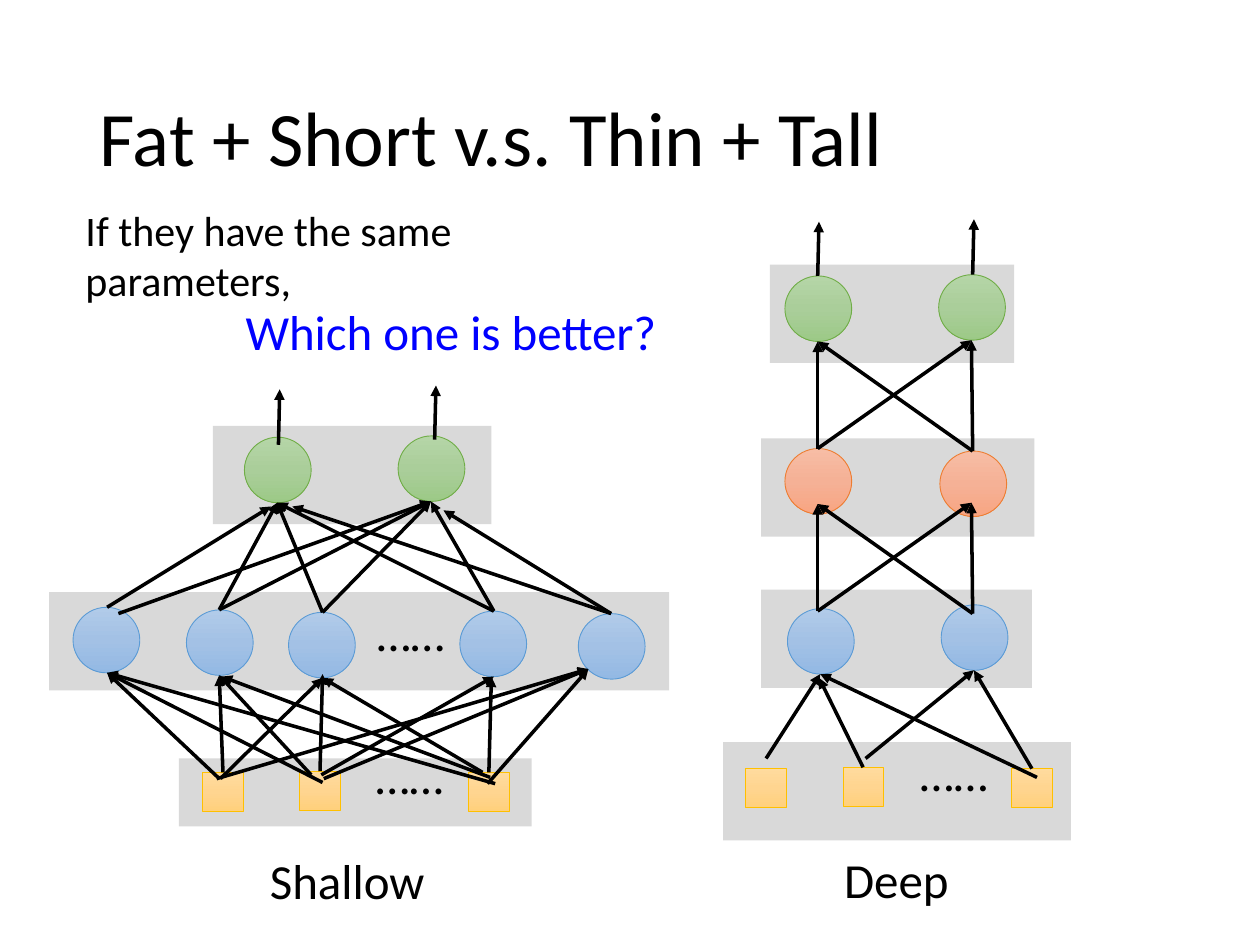
import copy
import itertools

import pptx
import pptx.dml.color
import pptx.enum.dml
import pptx.enum.shapes
import pptx.enum.text
import pptx.oxml
import pptx.oxml.ns
import pptx.util

Inches = pptx.util.Inches
SHAPE = pptx.enum.shapes.MSO_SHAPE
ALIGN = pptx.enum.text.PP_ALIGN
ANCHOR = pptx.enum.text.MSO_ANCHOR

STYLES = {
    "input": (SHAPE.RECTANGLE, 0.32, 0.31, ("FFDB9E", "FFD590", "FFD07C"), "FFC000"),
    "hidden": (SHAPE.OVAL, 0.53, 0.52, ("B1CBE9", "A3C1E5", "93B9E4"), "5B9BD5"),
    "middle": (SHAPE.OVAL, 0.53, 0.52, ("F7BDA5", "F5B196", "F8A582"), "ED7D31"),
    "output": (SHAPE.OVAL, 0.53, 0.52, ("B5D5A7", "AACE9A", "9CC987"), "70AD47"),
}


def rgb(value):
    return pptx.dml.color.RGBColor.from_string(value)


def format_text(tf, text, size, color="000000", align=ALIGN.LEFT, **extra):
    tf.word_wrap = True
    p = tf.paragraphs[0]
    p.alignment = align
    r = p.add_run()
    r.text = text
    r.font.color.rgb = rgb(color)
    for name, value in {"name": "Calibri", "size": pptx.util.Pt(size)}.items():
        setattr(r.font, name, value)
    for name, value in extra.items():
        setattr(p, name, value)


def add_label(s, box, text, size=28, **fmt):
    sp = s.shapes.add_textbox(*map(Inches, box))
    format_text(sp.text_frame, text, size, **fmt)


def add_band(s, box):
    sp = s.shapes.add_shape(SHAPE.RECTANGLE, *map(Inches, box))
    sp.shadow.inherit = False
    sp.fill.solid()
    sp.fill.fore_color.rgb = rgb("D9D9D9")
    sp.line.fill.background()


def add_node(s, x, y, style):
    kind, width, height, colors, outline = STYLES[style]
    sp = s.shapes.add_shape(kind, *map(Inches, (x, y, width, height)))
    sp.shadow.inherit = False
    sp.fill.gradient()
    sp.fill.gradient_angle = 270
    stops = sp._element.spPr.find(".//" + pptx.oxml.ns.qn("a:gsLst"))
    stops.insert(1, copy.deepcopy(stops[0]))
    for stop, position, color in zip(sp.fill.gradient_stops, (0, 0.5, 1), colors):
        stop.position = position
        stop.color.rgb = rgb(color)
    sp.line.color.rgb = rgb(outline)
    sp.line.width = pptx.util.Pt(0.5)
    return sp


def add_arrow(s, x1, y1, x2, y2, source=None):
    c = s.shapes.add_connector(
        pptx.enum.shapes.MSO_CONNECTOR.STRAIGHT, *map(Inches, (x1, y1, x2, y2)))
    if source is not None:
        c.begin_connect(source, 0)
    c.line.color.rgb = rgb("000000")
    c.line.width = pptx.util.Pt(2)
    ns = pptx.oxml.ns.nsdecls("a")
    c.line._get_or_add_ln().append(
        pptx.oxml.parse_xml(f'<a:tailEnd {ns} type="triangle"/>'))
    c._element.spPr.append(pptx.oxml.parse_xml(f"<a:effectLst {ns}/>"))


def add_network(s, box, net):
    left, top = box

    def at(x, y):
        return left + x, top + y

    for x, y, width, height in net["bands"]:
        add_band(s, (*at(x, y), width, height))
    nodes = {style: [add_node(s, *at(x, y), style) for x, y in places]
             for style, places in net["nodes"].items()}
    for x, y in net["dots"]:
        add_label(s, (*at(x, y), 1.16, 0.57), "……", align=ALIGN.CENTER)
    for index, end in net["joined"].items():
        x, y = net["nodes"]["input"][index]
        add_arrow(s, *at(x + 0.16, y), *at(*end), nodes["input"][index])
    full = [(*a, *b) for starts, ends in net["full"]
            for a, b in itertools.product(starts, ends)]
    for x1, y1, x2, y2 in full + net["arrows"]:
        add_arrow(s, *at(x1, y1), *at(x2, y2))
    x, y = net["caption_at"]
    add_label(s, (*at(x, y), 2.71, 0.57), net["caption"], align=ALIGN.CENTER)


SHALLOW = {
    "caption": "Shallow",
    "caption_at": (1, 3.7),
    "bands": [(-0.01, 1.7, 4.92, 0.78), (1.29, 0.38, 2.21, 0.78),
              (1.02, 3.02, 2.8, 0.54)],
    "nodes": {
        "input": [(1.21, 3.13), (1.98, 3.12), (3.32, 3.13)],
        "hidden": [(0.18, 1.82), (1.08, 1.84), (1.89, 1.86), (3.25, 1.85), (4.19, 1.87)],
        "output": [(1.54, 0.47), (2.76, 0.46)],
    },
    "dots": [(2.27, 2.87), (2.28, 1.73)],
    "joined": {0: (1.34, 2.36), 1: (2.16, 2.35), 2: (3.5, 2.37)},
    "full": [([(1.34, 1.84), (2.16, 1.86), (3.52, 1.85)], [(1.8, 0.99), (3.02, 0.98)])],
    "arrows": [
        (3.43, 3.13, 2.16, 2.38), (3.49, 3.17, 1.36, 2.37), (1.35, 3.18, 2.16, 2.38),
        (2.15, 3.15, 3.52, 2.37), (2.07, 3.15, 1.34, 2.36), (3.47, 3.22, 4.27, 2.31),
        (3.53, 3.22, 0.45, 2.34), (2.17, 3.18, 4.27, 2.31), (2.16, 3.21, 0.45, 2.34),
        (1.32, 3.18, 4.27, 2.31), (1.33, 3.17, 0.45, 2.34), (4.45, 1.87, 3.12, 1.05),
        (4.45, 1.87, 1.92, 1.02), (0.54, 1.87, 3.02, 0.98), (0.45, 1.82, 1.75, 1.02),
        (1.81, 0.53, 1.82, 0.09), (3.05, 0.49, 3.06, 0.06),
    ],
}

DEEP = {
    "caption": "Deep",
    "caption_at": (0.06, 4.99),
    "bands": [(0.04, 4.19, 2.76, 0.78), (0.34, 2.98, 2.15, 0.78),
              (0.34, 1.78, 2.17, 0.78), (0.41, 0.4, 1.94, 0.78)],
    "nodes": {
        "input": [(0.22, 4.4), (0.99, 4.39), (2.33, 4.4)],
        "hidden": [(0.55, 3.13), (1.77, 3.1)],
        "middle": [(0.53, 1.86), (1.76, 1.88)],
        "output": [(0.53, 0.49), (1.75, 0.48)],
    },
    "dots": [(1.29, 4.14)],
    "joined": {1: (0.8, 3.68), 2: (2.03, 3.62)},
    "full": [([(0.79, y), (2.02, y + 0.02)], [(0.79, y - 0.85), (2.01, y - 0.86)])
             for y in (3.15, 1.86)],
    "arrows": [
        (2.53, 4.47, 0.81, 3.65), (0.38, 4.32, 0.81, 3.65), (1.17, 4.32, 2.03, 3.62),
        (0.79, 0.49, 0.8, 0.06), (2.02, 0.48, 2.03, 0.04),
    ],
}


def add_title(s, box):
    sp = s.shapes.title
    for name, value in zip(("left", "top", "width", "height"), box):
        setattr(sp, name, Inches(value))
    sp.text_frame.vertical_anchor = ANCHOR.MIDDLE
    format_text(sp.text_frame, "Fat + Short v.s. Thin + Tall", 44, line_spacing=0.9)


def add_question(s, box):
    left, top = box
    add_label(s, (left, top, 3.25, 0.91), "If they have the same parameters,", 24)
    add_label(s, (left + 1.27, top + 0.77, 3.82, 0.57), "Which one is better?",
              color="0000FF")


def main():
    prs = pptx.Presentation()
    prs.slide_width, prs.slide_height = Inches(10), Inches(7.5)
    s = prs.slides.add_slide(prs.slide_layouts[5])
    add_title(s, (0.69, 0.4, 8.62, 1.45))
    add_network(s, (5.7, 1.7), DEEP)
    add_network(s, (0.4, 3), SHALLOW)
    add_question(s, (0.58, 1.57))
    prs.save("out.pptx")


if __name__ == "__main__":
    main()
